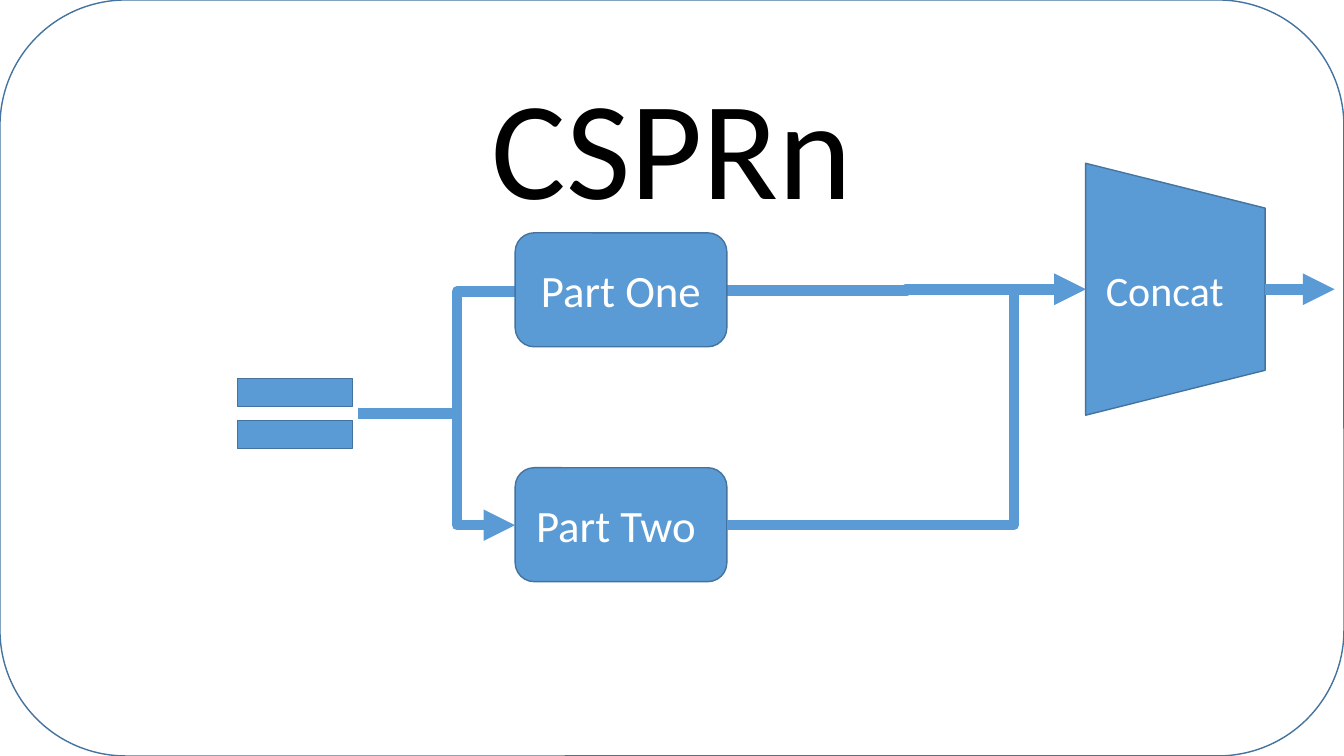
from lxml.etree import SubElement
from pptx import Presentation
from pptx.dml.color import RGBColor
from pptx.enum.shapes import MSO_CONNECTOR as Connector, MSO_SHAPE as Shape
from pptx.enum.text import MSO_ANCHOR as Anchor, MSO_AUTO_SIZE as AutoSize, PP_ALIGN as Align
from pptx.oxml.ns import qn
from pptx.util import Inches, Pt


def color(value):
    return RGBColor.from_string(value)


class Diagram:
    """Style and current slide; all lengths are percent of the slide's size."""
    FONT, BLUE, OUTLINE, WHITE, BLACK = "Calibri", "5B9BD5", "43739E", "FFFFFF", "000000"

    def __init__(self, presentation):
        self.width = presentation.slide_width
        self.height = presentation.slide_height
        self.slide = presentation.slides.add_slide(presentation.slide_layouts[5])

    def x(self, share):
        return round(self.width * share / 100)

    def y(self, share):
        return round(self.height * share / 100)

    def box(self, left, top, width, height):
        return self.x(left), self.y(top), self.x(width), self.y(height)

    def label(self, shape, text, size, ink, anchor):
        frame = shape.text_frame
        frame.word_wrap = True
        frame.auto_size = AutoSize.NONE
        frame.vertical_anchor = anchor
        paragraph = frame.paragraphs[0]
        paragraph.text = text
        paragraph.alignment = Align.CENTER
        paragraph.font.name = self.FONT
        paragraph.font.size = Pt(size)
        paragraph.font.color.rgb = color(ink)

    def title(self, text, *place):
        title = self.slide.shapes.title
        title.left, title.top, title.width, title.height = self.box(*place)
        self.label(title, text, 100, self.BLACK, Anchor.TOP)

    def shape(self, kind, *place, filled=True, text=None, size=32):
        shape = self.slide.shapes.add_shape(kind, *self.box(*place))
        shape.shadow.inherit = False
        if filled:
            shape.fill.solid()
            shape.fill.fore_color.rgb = color(self.BLUE)
        else:
            shape.fill.background()
        shape.line.color.rgb = color(self.OUTLINE)
        shape.line.width = Pt(1)
        if text:
            self.label(shape, text, size, self.WHITE, Anchor.MIDDLE)
        return shape

    def arrow(self, start, end, bend=0.5):
        arrow = self.slide.shapes.add_connector(
            Connector.ELBOW, self.x(start[0]), self.y(start[1]), self.x(end[0]), self.y(end[1]))
        arrow.line.color.rgb = color(self.BLUE)
        arrow.line.width = Pt(7.5)
        properties = arrow._element.spPr
        SubElement(properties.find(qn("a:ln")), qn("a:tailEnd"), type="triangle")
        SubElement(properties, qn("a:effectLst"))
        adjustments = properties.find(qn("a:prstGeom")).find(qn("a:avLst"))
        SubElement(adjustments, qn("a:gd"), name="adj1", fmla=f"val {round(bend * 100000)}")


def main():
    presentation = Presentation()
    presentation.slide_width, presentation.slide_height = Inches(13.33), Inches(7.5)
    diagram = Diagram(presentation)

    # Title, input symbol and frame
    diagram.title("CSPRn", 0, 7.2, 100, 23.73)
    diagram.shape(Shape.MATH_EQUAL, 16.13, 46.8, 11.63, 15.73)
    diagram.shape(Shape.ROUNDED_RECTANGLE, 0, 0, 100, 100, filled=False)

    # Concat block, turned on its side with level text
    concat = diagram.shape(Shape.TRAPEZOID, 78.08, 26.4, 18.75, 23.73, text="Concat", size=30)
    concat.rotation = 90
    concat.text_frame._txBody.bodyPr.set("vert", "vert270")

    # Upper branch and output, behind the part boxes
    source, concat_in = (26.63, 54.67), (80.78, 38.27)
    diagram.arrow(source, (41.4, 38.53))
    diagram.arrow((54.08, 38.4), concat_in)
    diagram.arrow((94.13, 38.27), (99.3, 38.27))

    # Parts
    part_left, part_width, part_height = 38.33, 15.75, 15.07
    for text, top in (("Part One", 30.8), ("Part Two ", 61.87)):
        diagram.shape(Shape.ROUNDED_RECTANGLE, part_left, top, part_width, part_height, text=text)

    # Lower branch
    diagram.arrow(source, (part_left, 69.47), bend=0.63)
    diagram.arrow((part_left + part_width, 69.47), concat_in, bend=0.8)

    presentation.save("out.pptx")


if __name__ == "__main__":
    main()
